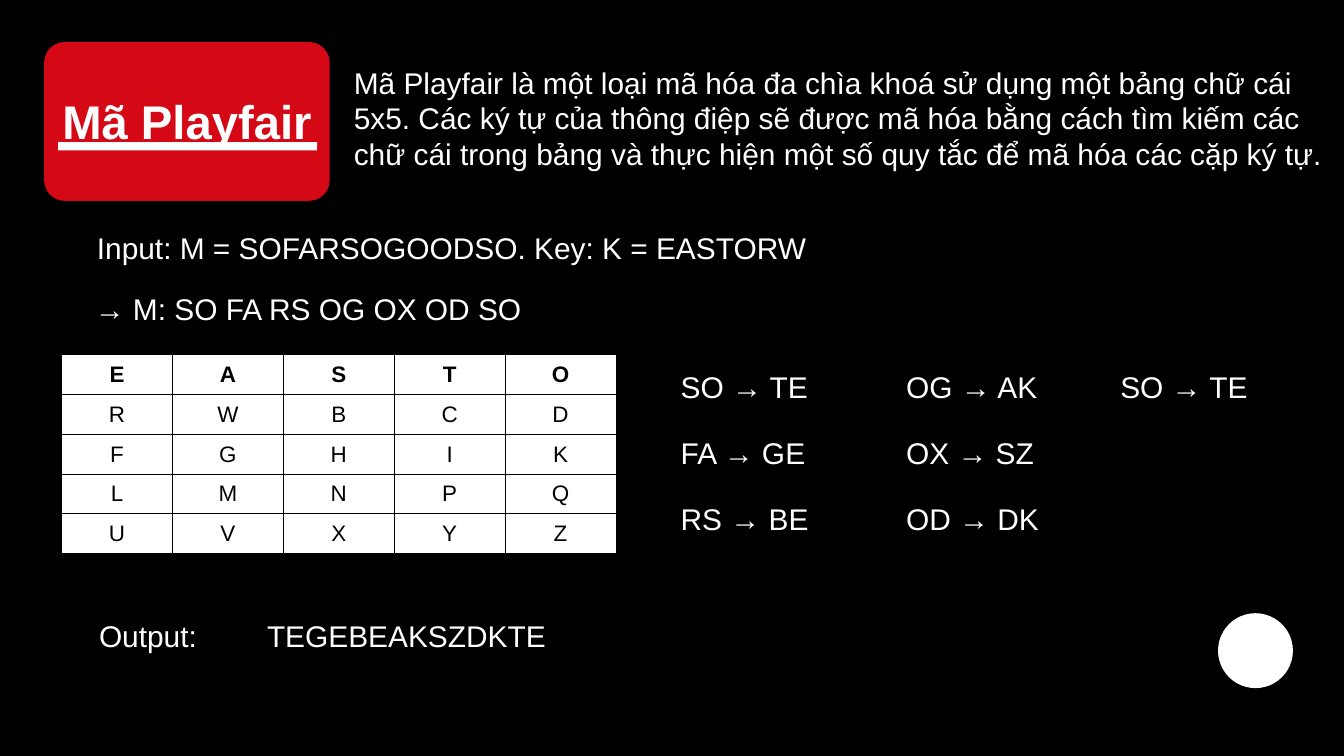
from dataclasses import dataclass

from lxml import etree
from pptx import Presentation
from pptx.dml.color import RGBColor
from pptx.enum import shapes, text
from pptx.oxml import ns
from pptx.shapes.autoshape import Shape
from pptx.slide import Slide
from pptx.table import _Cell
from pptx.text.text import _Paragraph
from pptx.util import Emu, Pt

PX = 9525
FONT = "Arial"
BLACK = RGBColor(0, 0, 0)
WHITE = RGBColor(255, 255, 255)
RED = RGBColor(0xD5, 0x08, 0x16)


@dataclass(frozen=True)
class Box:
    left: int
    top: int
    width: int
    height: int

    def emu(self) -> tuple[Emu, Emu, Emu, Emu]:
        return (Emu(self.left * PX), Emu(self.top * PX),
                Emu(self.width * PX), Emu(self.height * PX))


@dataclass(frozen=True)
class Note:
    box: Box
    wording: str


NOTES = [
    Note(Box(496, 87, 1426, 165),
         "Mã Playfair là một loại mã hóa đa chìa khoá sử dụng một bảng chữ cái 5x5. "
         "Các ký tự của thông điệp sẽ được mã hóa bằng cách tìm kiếm các chữ cái "
         "trong bảng và thực hiện một số quy tắc để mã hóa các cặp ký tự."),
    Note(Box(129, 324, 1048, 61), "Input: M = SOFARSOGOODSO. Key: K = EASTORW"),
    Note(Box(126, 411, 688, 61), "→ M: SO FA RS OG OX OD SO"),
    Note(Box(132, 878, 891, 61), "Output: \t\tTEGEBEAKSZDKTE"),
]
KEY_SQUARE = ["EASTO", "RWBCD", "FGHIK", "LMNPQ", "UVXYZ"]
PAIR_COLUMNS = {
    963: ["SO → TE", "FA → GE", "RS → BE"],
    1285: ["OG → AK", "OX → SZ", "OD → DK"],
    1591: ["SO → TE"],
}
PAIR_TOP, PAIR_STEP = 522, 94


def add_run(paragraph: _Paragraph, wording: str, size: float,
            color: RGBColor, bold: bool = False) -> None:
    run = paragraph.add_run()
    run.text = wording
    run.font.name = FONT
    run.font.size = Pt(size)
    run.font.bold = bold
    run.font.color.rgb = color


def add_block(slide: Slide, kind: shapes.MSO_SHAPE, box: Box, color: RGBColor) -> Shape:
    block = slide.shapes.add_shape(kind, *box.emu())
    block.shadow.inherit = False
    block.fill.solid()
    block.fill.fore_color.rgb = color
    block.line.fill.background()
    return block


def add_note(slide: Slide, note: Note) -> None:
    frame = slide.shapes.add_textbox(*note.box.emu()).text_frame
    frame.word_wrap = True
    frame.auto_size = text.MSO_AUTO_SIZE.SHAPE_TO_FIT_TEXT
    add_run(frame.paragraphs[0], note.wording, 32, WHITE)


def add_heading(slide: Slide) -> None:
    card = add_block(slide, shapes.MSO_SHAPE.ROUNDED_RECTANGLE, Box(63, 60, 408, 227), RED)
    card.adjustments[0] = 0.13
    heading = slide.shapes.title
    heading.element.addprevious(card.element)
    heading.left, heading.top, heading.width, heading.height = Box(89, 128, 370, 79).emu()
    frame = heading.text_frame
    frame.margin_left = frame.margin_right = frame.margin_top = frame.margin_bottom = 0
    frame.vertical_anchor = text.MSO_ANCHOR.TOP
    frame.auto_size = text.MSO_AUTO_SIZE.NONE
    frame.word_wrap = True
    paragraph = frame.paragraphs[0]
    paragraph.alignment = text.PP_ALIGN.LEFT
    paragraph.line_spacing = Pt(63.3)
    add_run(paragraph, "Mã Playfair", 50.6, WHITE, True)
    add_block(slide, shapes.MSO_SHAPE.RECTANGLE, Box(83, 203, 370, 12), WHITE)


def add_borders(cell: _Cell, color: RGBColor) -> None:
    properties = cell._tc.get_or_add_tcPr()
    for side in ("a:lnL", "a:lnR", "a:lnT", "a:lnB"):
        line = etree.SubElement(properties, ns.qn(side), w=str(Pt(1)))
        fill = etree.SubElement(line, ns.qn("a:solidFill"))
        etree.SubElement(fill, ns.qn("a:srgbClr"), val=str(color))


def add_key_square(slide: Slide, box: Box) -> None:
    size = len(KEY_SQUARE)
    square = slide.shapes.add_table(size, size, *box.emu()).table
    square.horz_banding = False
    for row, letters in enumerate(KEY_SQUARE):
        for column, letter in enumerate(letters):
            cell = square.cell(row, column)
            add_borders(cell, BLACK)
            cell.fill.solid()
            cell.fill.fore_color.rgb = WHITE
            cell.vertical_anchor = text.MSO_ANCHOR.MIDDLE
            paragraph = cell.text_frame.paragraphs[0]
            paragraph.alignment = text.PP_ALIGN.CENTER
            add_run(paragraph, letter, 24, BLACK, row == 0)


def main() -> None:
    deck = Presentation()
    deck.slide_width, deck.slide_height = Emu(1920 * PX), Emu(1080 * PX)
    slide = deck.slides.add_slide(deck.slide_layouts[5])
    slide.background.fill.solid()
    slide.background.fill.fore_color.rgb = BLACK

    add_heading(slide)
    add_block(slide, shapes.MSO_SHAPE.OVAL, Box(1740, 876, 107, 107), WHITE)
    add_key_square(slide, Box(88, 507, 792, 284))
    for note in NOTES:
        add_note(slide, note)
    for left, pairs in PAIR_COLUMNS.items():
        for row, pair in enumerate(pairs):
            add_note(slide, Note(Box(left, PAIR_TOP + row * PAIR_STEP, 240, 61), pair))

    deck.save("out.pptx")


if __name__ == "__main__":
    main()
